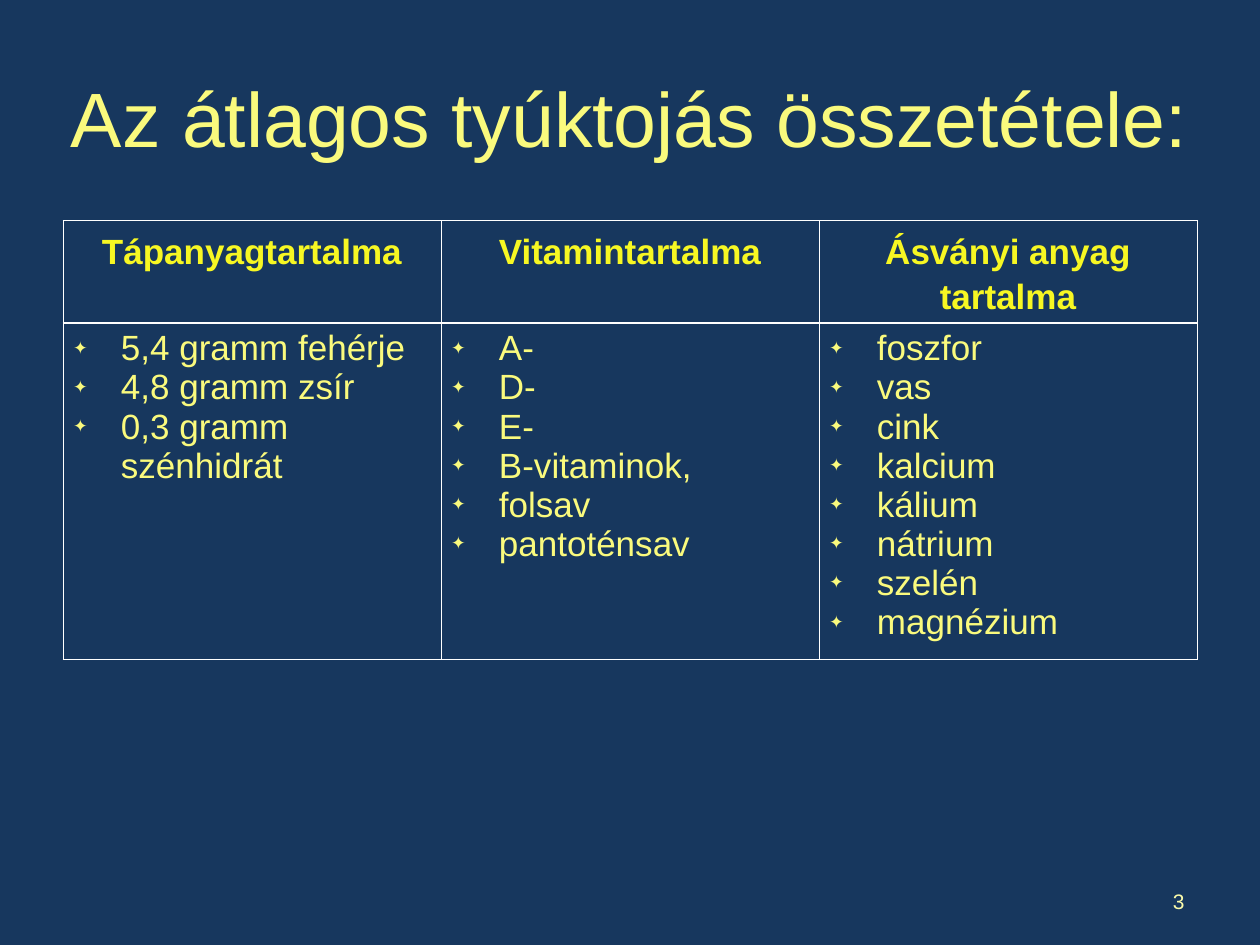
import pptx
import pptx.dml.color
import pptx.enum.text
import pptx.oxml
import pptx.oxml.ns
import pptx.util
from pptx.util import Inches, Pt

TITLE = "Az átlagos tyúktojás összetétele:"
NUMBER = "3"
COLUMNS = [
    ("Tápanyagtartalma",
     ["5,4 gramm fehérje", "4,8 gramm zsír", "0,3 gramm szénhidrát"]),
    ("Vitamintartalma",
     ["A-", "D-", "E-", "B-vitaminok,", "folsav", "pantoténsav"]),
    ("Ásványi anyag tartalma",
     ["foszfor", "vas", "cink", "kalcium", "kálium", "nátrium", "szelén",
      "magnézium"]),
]
NAVY, CREAM, YELLOW, PALE, WHITE = (
    "17375E", "FAFA7D", "F7F723", "FBFBAA", "FFFFFF")
FONT = "Arial"
THIN, THICK = 0.45, 1.47
ROWS = [0.77, 2.67]
ALIGN = pptx.enum.text.PP_ALIGN
ANCHOR = pptx.enum.text.MSO_ANCHOR
NS = pptx.oxml.ns.nsdecls("a")


def color(code):
    return pptx.dml.color.RGBColor.from_string(code)


def write(para, text, size, code, align=ALIGN.LEFT, bold=False):
    para.alignment = align
    run = para.add_run()
    run.text = text
    font = run.font
    font.name, font.size, font.bold = FONT, Pt(size), bold
    font.color.rgb = color(code)


def place(shape, left, top, width, height):
    shape.left, shape.top = Inches(left), Inches(top)
    shape.width, shape.height = Inches(width), Inches(height)


def bullet(para):
    """Give a paragraph a half-size star bullet and a hanging indent."""
    props = para._p.get_or_add_pPr()
    props.set("marL", str(Inches(0.38)))
    props.set("indent", str(Inches(-0.38)))
    for xml in (
        f'<a:buClr {NS}><a:srgbClr val="{CREAM}"/></a:buClr>',
        f'<a:buSzPct {NS} val="50000"/>',
        f'<a:buFont {NS} typeface="{FONT}"/>',
        f'<a:buChar {NS} char="✦"/>',
    ):
        props.append(pptx.oxml.parse_xml(xml))


def style(cell, top, bottom):
    """Set margins and white borders, and leave the cell unfilled."""
    cell.margin_left = cell.margin_right = Inches(0.08)
    cell.margin_top = cell.margin_bottom = Inches(0.05)
    cell.vertical_anchor = ANCHOR.TOP
    props = cell._tc.get_or_add_tcPr()
    for side, width in zip("LRTB", (THIN, THIN, top, bottom)):
        props.append(pptx.oxml.parse_xml(
            f'<a:ln{side} {NS} w="{Pt(width)}"><a:solidFill>'
            f'<a:srgbClr val="{WHITE}"/></a:solidFill></a:ln{side}>'))
    cell.fill.background()


def main():
    deck = pptx.Presentation()
    deck.slide_width, deck.slide_height = Inches(10), Inches(7.5)
    slide = deck.slides.add_slide(deck.slide_layouts[5])
    slide.background.fill.solid()
    slide.background.fill.fore_color.rgb = color(NAVY)

    title = slide.shapes.title
    place(title, 0.27, 0.3, 9.46, 1.25)
    frame = title.text_frame
    frame.auto_size = pptx.enum.text.MSO_AUTO_SIZE.NONE
    frame.vertical_anchor = ANCHOR.MIDDLE
    write(frame.paragraphs[0], TITLE, 44, CREAM, ALIGN.CENTER)

    table = slide.shapes.add_table(
        len(ROWS), len(COLUMNS), Inches(0.5), Inches(1.75),
        Inches(9), Inches(sum(ROWS))).table
    table.first_row = table.horz_banding = False
    for row, height in zip(table.rows, ROWS):
        row.height = Inches(height)
    for col, (heading, items) in enumerate(COLUMNS):
        head, body = table.cell(0, col), table.cell(1, col)
        style(head, THIN, THICK)
        style(body, THICK, THIN)
        para = head.text_frame.paragraphs[0]
        para.line_spacing = 1.15
        write(para, heading, 20, YELLOW, ALIGN.CENTER, True)
        frame = body.text_frame
        for i, item in enumerate(items):
            para = frame.add_paragraph() if i else frame.paragraphs[0]
            write(para, item, 20, CREAM)
            bullet(para)

    box = slide.shapes.add_textbox(
        Inches(7.17), Inches(6.95), Inches(2.33), Inches(0.4))
    box.text_frame.word_wrap = True
    box.text_frame.vertical_anchor = ANCHOR.MIDDLE
    write(box.text_frame.paragraphs[0], NUMBER, 12, PALE, ALIGN.RIGHT)

    deck.save("out.pptx")


if __name__ == "__main__":
    main()
